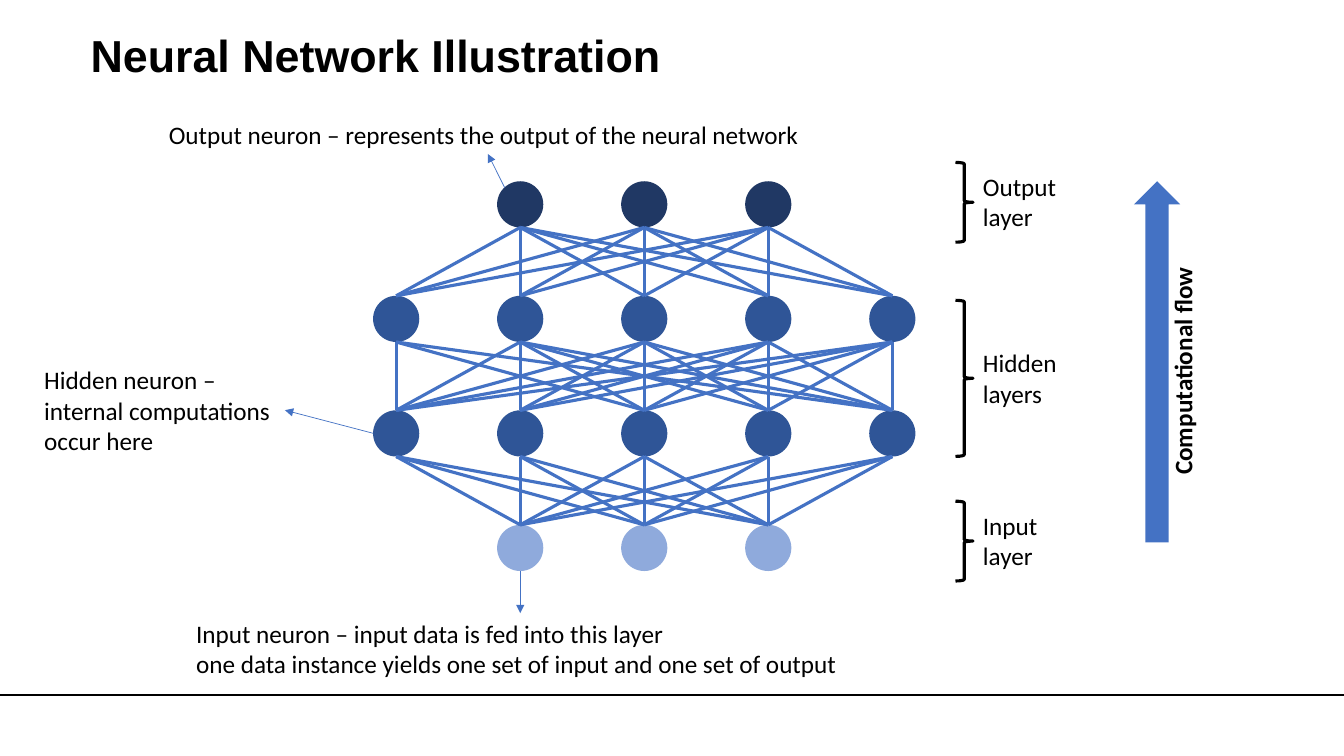
from itertools import product

from lxml import etree
from pptx import Presentation
from pptx.dml.color import RGBColor
from pptx.enum.shapes import MSO_CONNECTOR, MSO_SHAPE
from pptx.oxml.ns import qn
from pptx.util import Pt

LINE = MSO_CONNECTOR.STRAIGHT
OVAL = MSO_SHAPE.OVAL
BRACE = MSO_SHAPE.RIGHT_BRACE
ARROW = MSO_SHAPE.UP_ARROW

BLACK = RGBColor(0x00, 0x00, 0x00)
BLUE = RGBColor(0x44, 0x72, 0xC4)
LIGHT = RGBColor(0x8F, 0xAA, 0xDC)
MID = RGBColor(0x2F, 0x55, 0x97)
DARK = RGBColor(0x20, 0x38, 0x64)

SIZE = 33      # neuron diameter
LEFT = 283     # centre of the first column
TOP = 129.5    # top of the output layer
COL = 88.6     # step between columns
ROW = 81.8     # step between layers

# Columns and colour of each layer, from output down to input
LAYERS = [
    (range(1, 4), DARK),
    (range(5), MID),
    (range(5), MID),
    (range(1, 4), LIGHT),
]
# Links left out: row of the upper layer, its column, the lower column
GAPS = {(1, 0, 1), (1, 0, 3)}

# Label, top and height of the brace, width of the label
GROUPS = [
    ("Output layer", 116, 57, 76),
    ("Hidden layers", 214.5, 111.5, 84),
    ("Input layer", 358, 57, 65),
]


def add_text(slide, text, x, y, w, h, size=18, font="Calibri", bold=False,
             turn=0):
    box = slide.shapes.add_textbox(Pt(x), Pt(y), Pt(w), Pt(h))
    box.rotation = turn
    frame = box.text_frame
    frame.word_wrap = True
    frame.text = text
    for para in frame.paragraphs:
        para.font.size = Pt(size)
        para.font.name = font
        para.font.bold = bold
        para.font.color.rgb = BLACK


def add_shape(slide, kind, x, y, w, h, fill=None):
    """Add a filled shape, or one with a black outline if fill is None."""
    shape = slide.shapes.add_shape(kind, Pt(x), Pt(y), Pt(w), Pt(h))
    shape.shadow.inherit = False
    if fill is None:
        shape.fill.background()
        shape.line.color.rgb = BLACK
        shape.line.width = Pt(2.25)
    else:
        shape.fill.solid()
        shape.fill.fore_color.rgb = fill
        shape.line.fill.background()


def add_line(slide, x1, y1, x2, y2, color=BLUE, width=2.25, head=False):
    line = slide.shapes.add_connector(LINE, Pt(x1), Pt(y1), Pt(x2), Pt(y2))
    line.line.color.rgb = color
    line.line.width = Pt(width)
    if head:
        tail = etree.SubElement(line.line._get_or_add_ln(), qn("a:tailEnd"))
        tail.set("type", "triangle")
    etree.SubElement(line._element.spPr, qn("a:effectLst"))


def add_net(slide):
    for row, (cols, color) in enumerate(LAYERS):
        for col in cols:
            add_shape(slide, OVAL, LEFT + col * COL - SIZE / 2,
                      TOP + row * ROW, SIZE, SIZE, color)
    for row in range(len(LAYERS) - 1):
        for up, down in product(LAYERS[row][0], LAYERS[row + 1][0]):
            if (row, up, down) not in GAPS:
                add_line(slide, LEFT + up * COL, TOP + row * ROW + SIZE,
                         LEFT + down * COL, TOP + (row + 1) * ROW)


def add_group(slide, label, y, h, w):
    """Add a brace with its label centred beside it."""
    add_shape(slide, BRACE, 682.5, y, 12.5, h)
    add_text(slide, label, 695, y + h / 2 - 25.5, w, 51)


def add_note(slide, text, box, arrow):
    """Add a remark and the thin arrow from its neuron."""
    add_text(slide, text, *box)
    add_line(slide, *arrow, width=0.5, head=True)


def main():
    deck = Presentation()
    deck.slide_width, deck.slide_height = Pt(960), Pt(540)
    slide = deck.slides.add_slide(deck.slide_layouts[6])

    add_line(slide, 0, 496.5, 960, 496.5, color=BLACK, width=2)
    add_text(slide, "Neural Network Illustration", 57.6, 16.5, 828, 52.5,
             size=32, font="Arial", bold=True)
    add_net(slide)
    for group in GROUPS:
        add_group(slide, *group)

    add_note(slide,
             "Output neuron – represents the output of the neural network",
             (113.5, 81.5, 470, 29), (360.5, 134, 348.5, 110))
    add_note(slide, "Hidden neuron – internal computations occur here",
             (24.5, 257, 179.5, 73), (266.5, 309.5, 203.5, 293))
    add_note(slide,
             "Input neuron – input data is fed into this layer\n"
             "one data instance yields one set of input and one set of output",
             (133, 438, 478, 51), (371.6, 408, 371.6, 438))

    add_shape(slide, ARROW, 810, 129.5, 33, 258, BLUE)
    add_text(slide, "Computational flow", 763, 250, 163.5, 29, bold=True,
             turn=270)
    deck.save("out.pptx")


if __name__ == "__main__":
    main()
